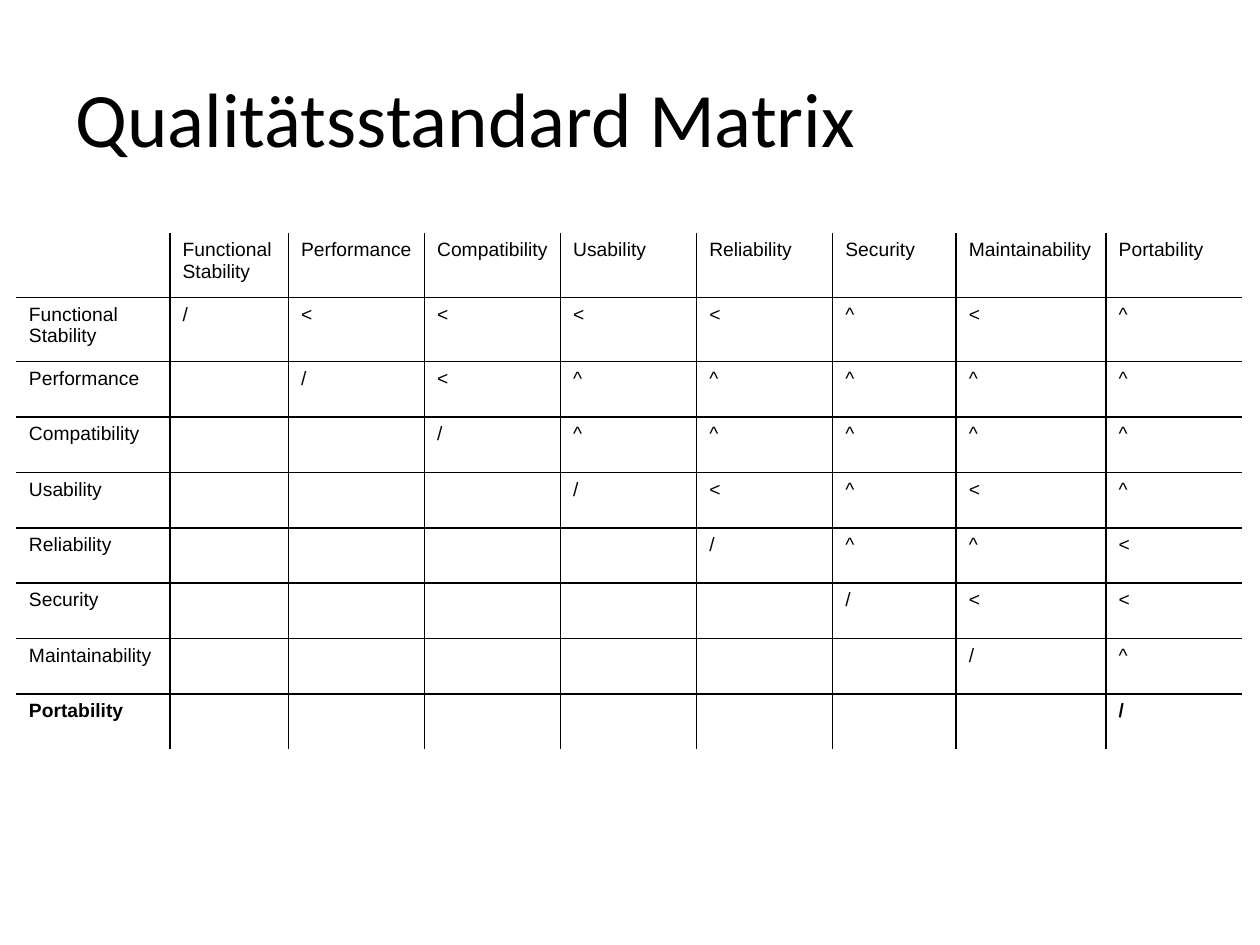
from pptx import Presentation
from pptx.dml.color import RGBColor
from pptx.enum.text import MSO_ANCHOR, PP_ALIGN
from pptx.oxml.ns import qn
from pptx.util import Inches, Pt
from lxml.etree import SubElement

BLACK = RGBColor(0, 0, 0)
TITLE_FONT = {"name": "Calibri", "size": Pt(44), "bold": False}
CELL_FONT = {"name": "Arial", "size": Pt(11), "bold": False}
QUALITIES = ["Functional Stability", "Performance", "Compatibility", "Usability",
             "Reliability", "Security", "Maintainability", "Portability"]
RATINGS = ["/<<<<^<^", "/<^^^^^", "/^^^^^", "/<^<^", "/^^<", "/<<", "/^", "/"]
COL_WIDTHS = [1.22, 0.94, 1.08, 1.08, 1.08, 1.08, 0.98, 1.19, 1.08]
ROW_HEIGHTS = [0.51] * 2 + [0.44] * 7


def format_font(font, values):
    """Apply a dict of format values and the text colour to a font."""
    for name, value in values.items():
        setattr(font, name, value)
    font.color.rgb = BLACK


def set_borders(cell, sides):
    """Draw a black line on each side marked true, and none on the others."""
    tcPr = cell._tc.get_or_add_tcPr()
    for side, shown in sides.items():
        ln = SubElement(tcPr, qn(f"a:ln{side}"), w=str(Pt(1)))
        if shown:
            fill = SubElement(ln, qn("a:solidFill"))
            SubElement(fill, qn("a:srgbClr"), val=str(BLACK))
        else:
            SubElement(ln, qn("a:noFill"))


def add_title(s, text, left, top, width, height):
    """Place and format the title placeholder."""
    sp = s.shapes.title
    sp.left, sp.top, sp.width, sp.height = map(Inches, (left, top, width, height))
    tf = sp.text_frame
    tf.text, tf.vertical_anchor = text, MSO_ANCHOR.MIDDLE
    p = tf.paragraphs[0]
    p.alignment = PP_ALIGN.LEFT
    format_font(p.runs[0].font, TITLE_FONT)


def add_matrix(s, left, top):
    """Add the upper triangular matrix that compares the qualities."""
    grid = [[""] + QUALITIES]
    for i, (quality, ratings) in enumerate(zip(QUALITIES, RATINGS)):
        grid.append([quality] + [""] * i + list(ratings))
    last = len(grid) - 1
    box = map(Inches, (left, top, sum(COL_WIDTHS), sum(ROW_HEIGHTS)))
    table = s.shapes.add_table(last + 1, last + 1, *box).table
    table.first_row = table.horz_banding = False
    for column, width in zip(table.columns, COL_WIDTHS):
        column.width = Inches(width)
    for row, height in zip(table.rows, ROW_HEIGHTS):
        row.height = Inches(height)
    for i, texts in enumerate(grid):
        for j, text in enumerate(texts):
            cell = table.cell(i, j)
            set_borders(cell, {"L": j > 0, "R": j < last, "T": i > 0, "B": i < last})
            cell.fill.background()
            if text:
                cell.text = text
                font = cell.text_frame.paragraphs[0].runs[0].font
                format_font(font, {**CELL_FONT, "bold": i == last})


prs = Presentation()
prs.slide_width, prs.slide_height = Inches(10), Inches(7.5)
s = prs.slides.add_slide(prs.slide_layouts[5])
add_title(s, "Qualitätsstandard Matrix", 0.5, 0.3, 9, 1.25)
add_matrix(s, 0.13, 1.85)
prs.save("out.pptx")
